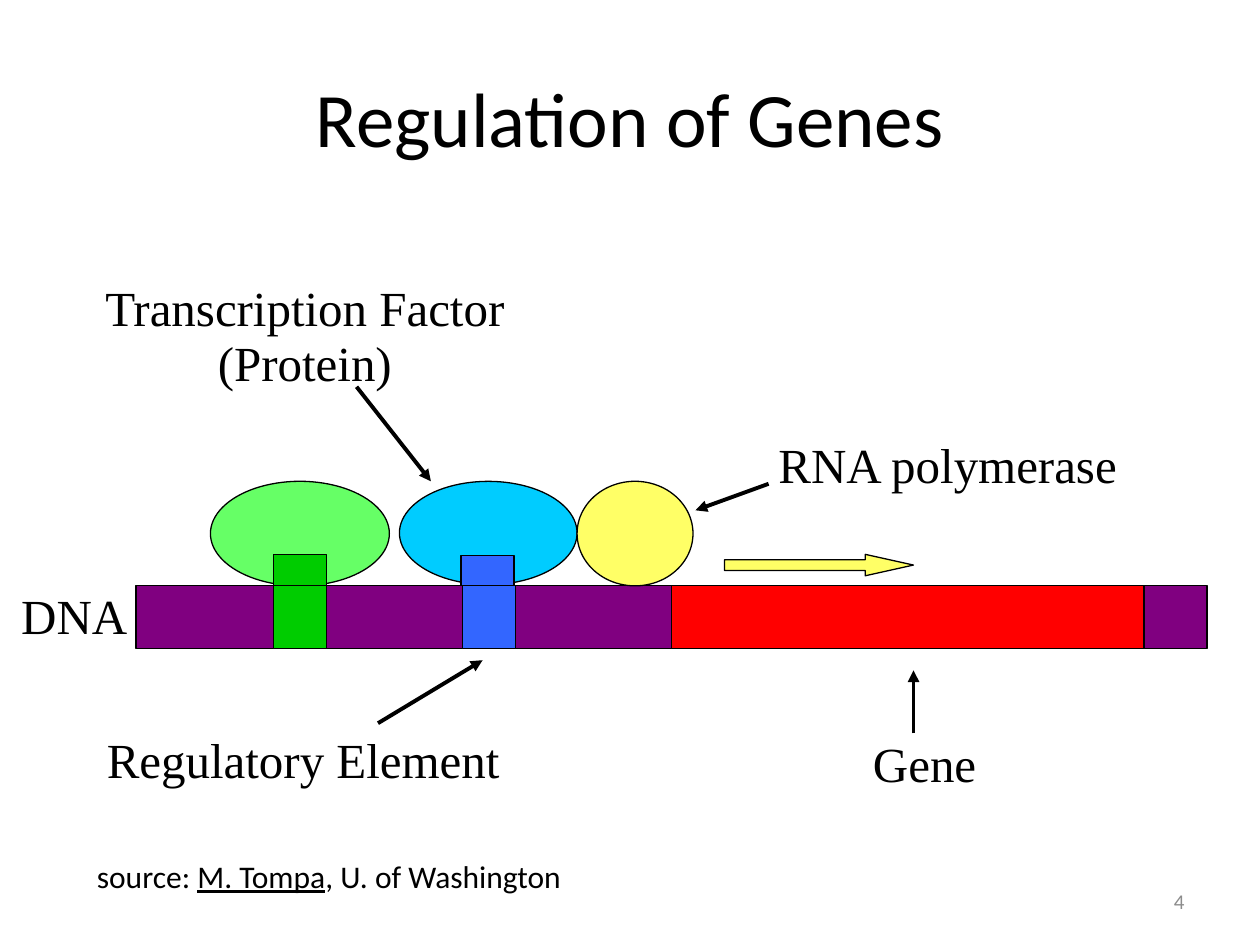
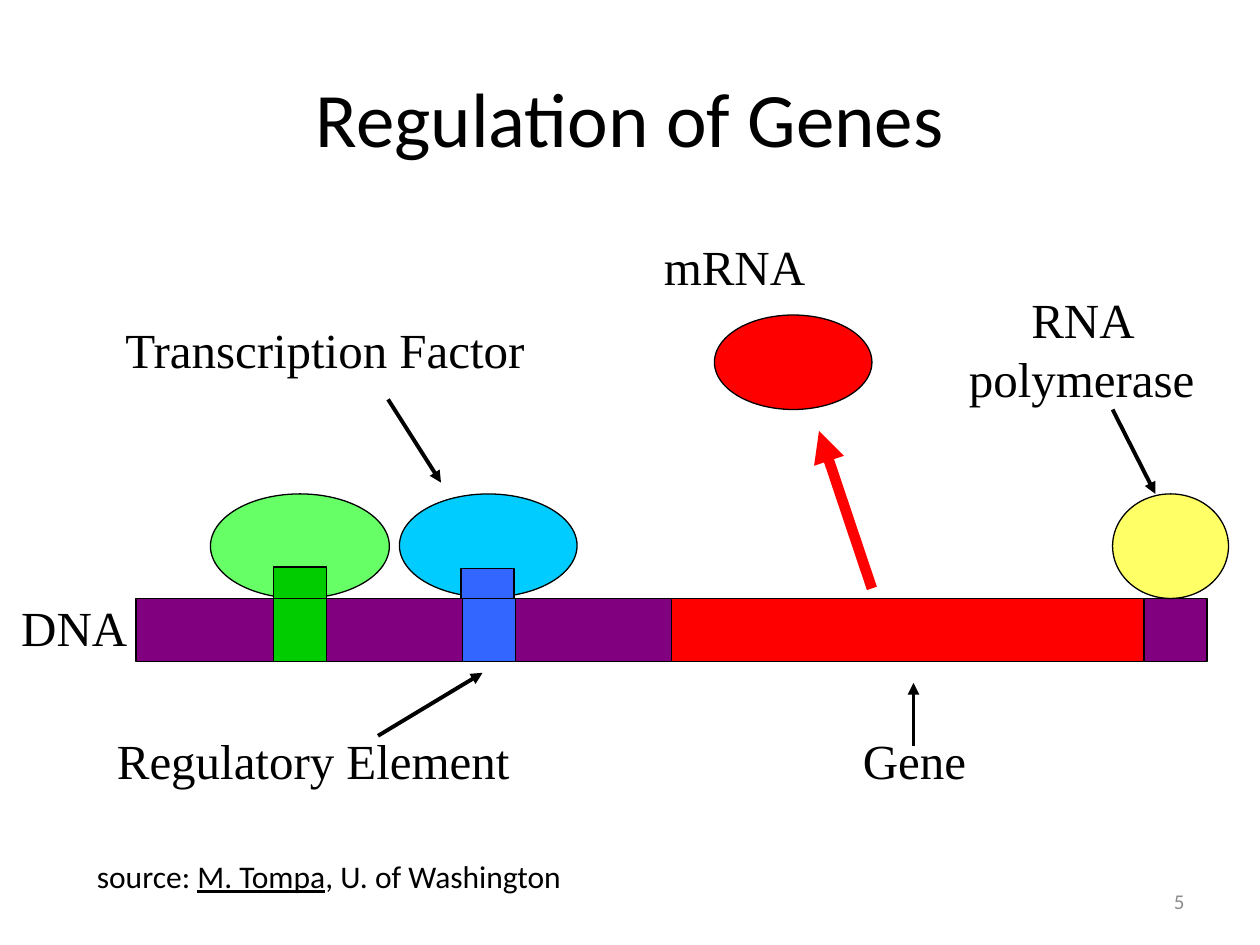
from typing import NamedTuple

from lxml import etree
from pptx import Presentation
from pptx.dml.color import RGBColor
from pptx.enum.shapes import MSO_CONNECTOR, MSO_SHAPE
from pptx.enum.text import MSO_ANCHOR, PP_ALIGN
from pptx.oxml.ns import qn
from pptx.util import Inches, Pt

RECT = MSO_SHAPE.RECTANGLE
OVAL = MSO_SHAPE.OVAL
ARROW = MSO_SHAPE.RIGHT_ARROW
STRAIGHT = MSO_CONNECTOR.STRAIGHT
LEFT, CENTER, RIGHT = PP_ALIGN.LEFT, PP_ALIGN.CENTER, PP_ALIGN.RIGHT
TOP, MIDDLE = MSO_ANCHOR.TOP, MSO_ANCHOR.MIDDLE

SANS, SERIF = "Calibri", "Times New Roman"
BLACK, GRAY, RED, PURPLE = "000000", "8C8C8C", "FF0000", "800080"
BLUE, SKY, GREEN, LIME, YELLOW = "3366FF", "00CCFF", "00CC00", "66FF66", "FFFF66"
TITLE = "Regulation of Genes"
SOURCE = ("source: ", "M. Tompa", ", U. of Washington")


class Form(NamedTuple):
    """A filled preset shape with a thin black outline."""
    kind: int
    left: float
    top: float
    width: float
    height: float
    fill: str


class Label(NamedTuple):
    """A text box whose lines are paragraphs."""
    text: str
    left: float
    top: float
    width: float
    height: float = 0.57
    align: int = LEFT
    space: float = 1.0


class Pointer(NamedTuple):
    """A straight line with a head at its end."""
    x1: float
    y1: float
    x2: float
    y2: float
    color: str = BLACK
    weight: float = 2.25


class Scene(NamedTuple):
    """The content of one slide around a DNA strand at height base."""
    number: int
    base: float
    forms: list[Form]
    labels: list[Label]
    pointers: list[Pointer]


def strand(base: float) -> list[Form]:
    """Return the forms of the DNA strand and its two bound factors."""
    return [
        Form(RECT, 1.08, base, 4.25, 0.5, PURPLE),
        Form(RECT, 5.33, base, 3.75, 0.5, RED),
        Form(RECT, 9.08, base, 0.5, 0.5, PURPLE),
        Form(OVAL, 1.67, base - 0.83, 1.42, 0.83, LIME),
        Form(RECT, 2.17, base - 0.25, 0.42, 0.25, GREEN),
        Form(RECT, 2.17, base, 0.42, 0.5, GREEN),
        Form(OVAL, 3.17, base - 0.83, 1.41, 0.82, SKY),
        Form(RECT, 3.66, base - 0.24, 0.42, 0.24, BLUE),
        Form(RECT, 3.67, base, 0.42, 0.5, BLUE),
    ]


def callouts(base: float) -> list[Pointer]:
    """Return the pointers below the strand."""
    return [
        Pointer(3, base + 1.09, 3.83, base + 0.59),
        Pointer(7.25, base + 1.17, 7.25, base + 0.67),
    ]


def paint(text: str) -> RGBColor:
    """Turn a hex string into a colour."""
    return RGBColor.from_string(text)


def style(para, size: float, face: str, color: str = BLACK, align: int = LEFT) -> None:
    """Set the font and alignment of a paragraph."""
    para.alignment = align
    para.font.size = Pt(size)
    para.font.name = face
    para.font.color.rgb = paint(color)


def add_box(slide, left: float, top: float, width: float, height: float,
            anchor: int = TOP):
    """Add an empty wrapped text box and return its frame."""
    box = slide.shapes.add_textbox(Inches(left), Inches(top), Inches(width), Inches(height))
    frame = box.text_frame
    frame.word_wrap = True
    frame.vertical_anchor = anchor
    return frame


def add_form(slide, form: Form) -> None:
    """Draw a filled shape."""
    shape = slide.shapes.add_shape(form.kind, Inches(form.left), Inches(form.top),
                                   Inches(form.width), Inches(form.height))
    shape.shadow.inherit = False
    shape.fill.solid()
    shape.fill.fore_color.rgb = paint(form.fill)
    shape.line.color.rgb = paint(BLACK)
    shape.line.width = Pt(0.75)
    if form.kind == ARROW:
        shape.adjustments[1] = 2.25


def add_label(slide, label: Label) -> None:
    """Write a label, with any later lines set close below the first."""
    frame = add_box(slide, label.left, label.top, label.width, label.height)
    frame.text = label.text
    for index, para in enumerate(frame.paragraphs):
        style(para, 28, SERIF, BLACK, label.align)
        para.line_spacing = 0.3 if index else label.space
        if index:
            para.space_before = Pt(18)


def add_pointer(slide, tip: Pointer) -> None:
    """Draw a line with a triangular head."""
    line = slide.shapes.add_connector(STRAIGHT, Inches(tip.x1), Inches(tip.y1),
                                      Inches(tip.x2), Inches(tip.y2))
    line.line.color.rgb = paint(tip.color)
    line.line.width = Pt(tip.weight)
    props = line.element.spPr
    etree.SubElement(props.find(qn("a:ln")), qn("a:tailEnd"), type="triangle")
    etree.SubElement(props, qn("a:effectLst"))


def add_frame(slide, number: int) -> None:
    """Write the title, the source line and the slide number."""
    title = slide.shapes.title
    title.left, title.top = Inches(0.5), Inches(0.3)
    title.width, title.height = Inches(9), Inches(1.25)
    title.text_frame.text = TITLE
    title.text_frame.vertical_anchor = MIDDLE
    style(title.text_frame.paragraphs[0], 44, SANS, BLACK, CENTER)

    para = add_box(slide, 0.67, 6.75, 4.81, 0.4).paragraphs[0]
    for text in SOURCE:
        run = para.add_run()
        run.text = text
        run.font.underline = text == SOURCE[1]
    style(para, 18, SANS)

    para = add_box(slide, 7.17, 6.95, 2.33, 0.4, MIDDLE).paragraphs[0]
    para.text = str(number)
    style(para, 12, SANS, GRAY, RIGHT)


SCENES = [
    Scene(
        4, 4.65,
        [Form(OVAL, 4.58, 3.82, 0.92, 0.83, YELLOW),
         Form(ARROW, 5.75, 4.4, 1.5, 0.17, YELLOW)],
        [Label("Transcription Factor\n(Protein)", 0.67, 2.24, 3.5, 0.85, CENTER, 0.8),
         Label("RNA polymerase", 6.08, 3.4, 3),
         Label("DNA", 0.07, 4.6, 1.05),
         Label("Regulatory Element", 0.75, 5.74, 3.58),
         Label("Gene", 6.83, 5.77, 1.02)],
        [Pointer(2.83, 3.07, 3.42, 3.82), Pointer(6.1, 3.84, 5.52, 4.05)],
    ),
    Scene(
        5, 4.75,
        [Form(OVAL, 8.83, 3.92, 0.92, 0.83, YELLOW),
         Form(OVAL, 5.67, 2.5, 1.25, 0.75, RED)],
        [Label("Transcription Factor", 0.83, 2.58, 3.5, 0.47, CENTER, 0.8),
         Label("mRNA", 5.17, 1.83, 1.34),
         Label("RNA polymerase", 7.5, 2.25, 2.17, 1.03, CENTER),
         Label("DNA", 0.07, 4.69, 1.05),
         Label("Regulatory Element", 0.83, 5.75, 3.5),
         Label("Gene", 6.75, 5.75, 1.02)],
        [Pointer(3.08, 3.17, 3.5, 3.83), Pointer(8.83, 3.25, 9.17, 3.92),
         Pointer(6.92, 4.67, 6.5, 3.42, RED, 6)],
    ),
]


def main() -> None:
    """Build both slides and save them."""
    deck = Presentation()
    deck.slide_width, deck.slide_height = Inches(10), Inches(7.5)
    for scene in SCENES:
        slide = deck.slides.add_slide(deck.slide_layouts.get_by_name("Title Only"))
        add_frame(slide, scene.number)
        for form in strand(scene.base) + scene.forms:
            add_form(slide, form)
        for label in scene.labels:
            add_label(slide, label)
        for tip in callouts(scene.base) + scene.pointers:
            add_pointer(slide, tip)
    deck.save("out.pptx")


if __name__ == "__main__":
    main()
